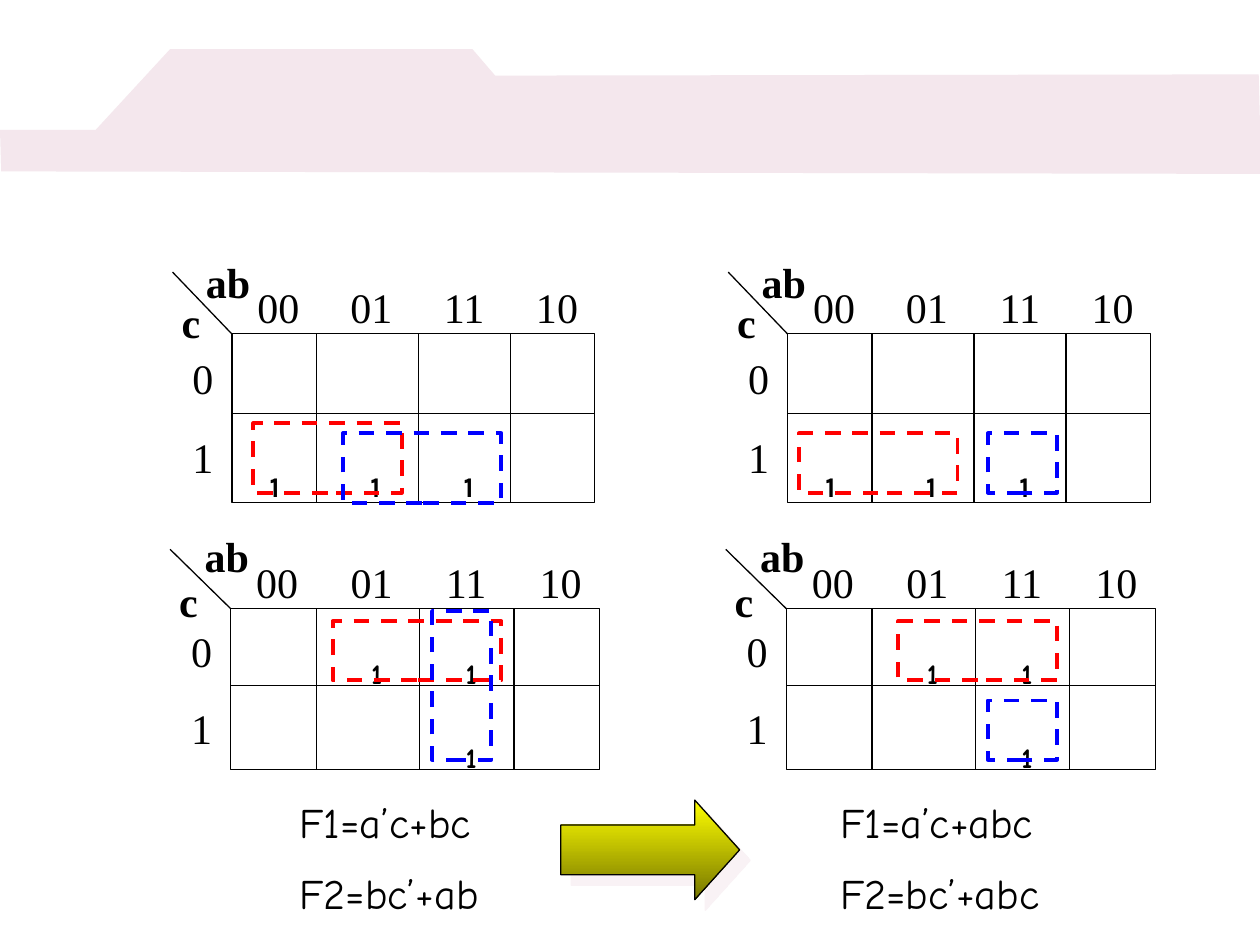
from dataclasses import dataclass

from lxml import etree
from pptx import Presentation
from pptx.dml.color import RGBColor
from pptx.enum.dml import MSO_LINE
from pptx.enum.shapes import MSO_CONNECTOR, MSO_SHAPE
from pptx.enum.text import MSO_AUTO_SIZE, PP_ALIGN
from pptx.oxml import parse_xml
from pptx.oxml.ns import nsdecls, qn
from pptx.util import Inches, Pt

COLORS = {"ink": "000000", "paper": "FFFFFF", "band": "F4E7ED", "red": "FF0000",
          "blue": "0000FF", "yellow": "FFFF00", "olive": "767600"}
SERIF = "Times New Roman"
HAND = "Comic Neue"
RIGHT_SHIFT = 4.41


@dataclass(frozen=True)
class KarnaughMap:
    """Geometry of one map; everything but left and top is relative to them."""
    left: float
    top: float
    width: float
    height: float
    row_line: float
    column_lines: tuple[float, ...]
    header_step: float
    row_labels: tuple[float, float]
    corner: tuple[float, float]
    c_label: tuple[float, float]
    one_font: str
    ones: tuple[tuple[float, float], ...]


@dataclass(frozen=True)
class Loop:
    left: float
    top: float
    width: float
    height: float
    color: str


F1_MAP = KarnaughMap(1.84, 2.65, 2.88, 1.34, 0.63, (0.67, 1.48, 2.21), 0.737,
                     (0.14, 0.77), (-0.47, -0.49), (-0.7, -0.3), "Karla",
                     ((0.07, 0.77), (0.87, 0.77), (1.61, 0.77)))
F2_MAP = KarnaughMap(1.83, 4.83, 2.93, 1.28, 0.61, (0.68, 1.5, 2.25), 0.75,
                     (0.13, 0.74), (-0.48, -0.47), (-0.71, -0.27), HAND,
                     ((1.64, 0.74), (0.89, 0.07), (1.64, 0.07)))

LOOPS = (
    Loop(2.01, 3.36, 1.18, 0.55, "red"),
    Loop(2.72, 3.44, 1.26, 0.55, "blue"),
    Loop(2.64, 4.93, 1.34, 0.47, "red"),
    Loop(3.43, 4.85, 0.47, 1.18, "blue"),
    Loop(6.34, 3.44, 1.26, 0.47, "red"),
    Loop(7.13, 4.93, 1.26, 0.47, "red"),
    Loop(7.84, 5.56, 0.55, 0.47, "blue"),
    Loop(7.84, 3.44, 0.55, 0.47, "blue"),
)


def rgb(name: str) -> RGBColor:
    return RGBColor.from_string(COLORS[name])


def add_text(shapes, left: float, top: float, width: float, height: float,
             lines: tuple[str, ...], font: str = SERIF, size: int = 24,
             bold: bool = False, baseline: int = 0, centered: bool = True) -> None:
    frame = shapes.add_textbox(Inches(left), Inches(top),
                               Inches(width), Inches(height)).text_frame
    frame.word_wrap = True
    frame.auto_size = MSO_AUTO_SIZE.SHAPE_TO_FIT_TEXT
    for index, line in enumerate(lines):
        paragraph = frame.add_paragraph() if index else frame.paragraphs[0]
        paragraph.space_before = Pt(size / 2)
        if centered:
            paragraph.alignment = PP_ALIGN.CENTER
            paragraph.line_spacing = 0.9
        run = paragraph.add_run()
        run.text = line
        run.font.name = font
        run.font.size = Pt(size)
        run.font.bold = bold
        run.font.color.rgb = rgb("ink")
        if baseline:
            run._r.get_or_add_rPr().set("baseline", str(baseline * 1000))


def add_line(shapes, x1: float, y1: float, x2: float, y2: float) -> None:
    line = shapes.add_connector(MSO_CONNECTOR.STRAIGHT, Inches(x1), Inches(y1),
                                Inches(x2), Inches(y2))
    line.line.color.rgb = rgb("ink")
    line.line.width = Pt(0.75)
    etree.SubElement(line._element.spPr, qn("a:effectLst"))


def add_outlined(shapes, kind: MSO_SHAPE, left: float, top: float, width: float,
                 height: float, color: str = "ink", weight: float = 0.75):
    shape = shapes.add_shape(kind, Inches(left), Inches(top),
                             Inches(width), Inches(height))
    shape.shadow.inherit = False
    shape.line.color.rgb = rgb(color)
    shape.line.width = Pt(weight)
    return shape


def add_map(slide, kmap: KarnaughMap, shift: float) -> None:
    shapes = slide.shapes.add_group_shape().shapes
    x, y = kmap.left + shift, kmap.top
    right, bottom = x + kmap.width, y + kmap.height

    table = add_outlined(shapes, MSO_SHAPE.RECTANGLE, x, y, kmap.width, kmap.height)
    table.fill.solid()
    table.fill.fore_color.rgb = rgb("paper")
    add_line(shapes, x, y + kmap.row_line, right, y + kmap.row_line)
    for column in kmap.column_lines:
        add_line(shapes, x + column, y, x + column, bottom)
    add_line(shapes, x, y, x + kmap.corner[0], y + kmap.corner[1])

    for dx, dy in kmap.ones:
        add_text(shapes, x + dx, y + dy, 0.54, 0.39, ("1",), kmap.one_font,
                 size=28, bold=True, baseline=-25)
    for index, header in enumerate(("00", "01", "11", "10")):
        add_text(shapes, x + 0.07 + index * kmap.header_step, y - 0.42, 0.6, 0.46,
                 (header,))
    for value, dy in zip("01", kmap.row_labels):
        add_text(shapes, x - 0.53, y + dy, 0.6, 0.46, (value,))
    add_text(shapes, x - 0.33, y - 0.62, 0.6, 0.46, ("ab",), bold=True)
    add_text(shapes, x + kmap.c_label[0], y + kmap.c_label[1], 0.75, 0.46, ("c",),
             bold=True)


def add_title_band(slide) -> None:
    outline = ((0, 1.03), (0.76, 1.03), (1.35, 0.39), (3.75, 0.39), (3.93, 0.6),
               (9.99, 0.59), (10.01, 1.38), (0.01, 1.36))
    points = [(Inches(x), Inches(y)) for x, y in outline]
    builder = slide.shapes.build_freeform(*points[0])
    builder.add_line_segments(points[1:], close=True)
    band = builder.convert_to_shape()
    band.shadow.inherit = False
    band.fill.solid()
    band.fill.fore_color.rgb = rgb("band")
    band.line.fill.background()


def add_result_arrow(slide) -> None:
    arrow = add_outlined(slide.shapes, MSO_SHAPE.RIGHT_ARROW, 4.45, 6.35, 1.42, 0.79)
    arrow.adjustments[1] = 0.45
    arrow.fill.gradient()
    arrow.fill.gradient_angle = 270
    for stop, color in zip(arrow.fill.gradient_stops, ("yellow", "olive")):
        stop.color.rgb = rgb(color)
    effects = arrow._element.spPr.find(qn("a:effectLst"))
    effects.append(parse_xml(
        f'<a:outerShdw {nsdecls("a")} dist="{Pt(8.5)}" dir="2700000" algn="ctr" '
        f'rotWithShape="0"><a:srgbClr val="{COLORS["band"]}">'
        '<a:alpha val="50000"/></a:srgbClr></a:outerShdw>'))


def main() -> None:
    deck = Presentation()
    deck.slide_width, deck.slide_height = Inches(10), Inches(7.5)
    slide = deck.slides.add_slide(deck.slide_layouts[6])

    add_title_band(slide)
    for shift in (0, RIGHT_SHIFT):
        for kmap in (F1_MAP, F2_MAP):
            add_map(slide, kmap, shift)
    for loop in LOOPS:
        box = add_outlined(slide.shapes, MSO_SHAPE.RECTANGLE, loop.left, loop.top,
                           loop.width, loop.height, loop.color, 2.25)
        box.fill.background()
        box.line.dash_style = MSO_LINE.DASH
    add_text(slide.shapes, 2.28, 6.27, 1.93, 1.1, ("F1=a’c+bc", "F2=bc’+ab"), HAND,
             centered=False)
    add_text(slide.shapes, 6.57, 6.27, 2.06, 1.1, ("F1=a’c+abc", "F2=bc’+abc"), HAND,
             centered=False)
    add_result_arrow(slide)
    deck.save("out.pptx")


if __name__ == "__main__":
    main()
